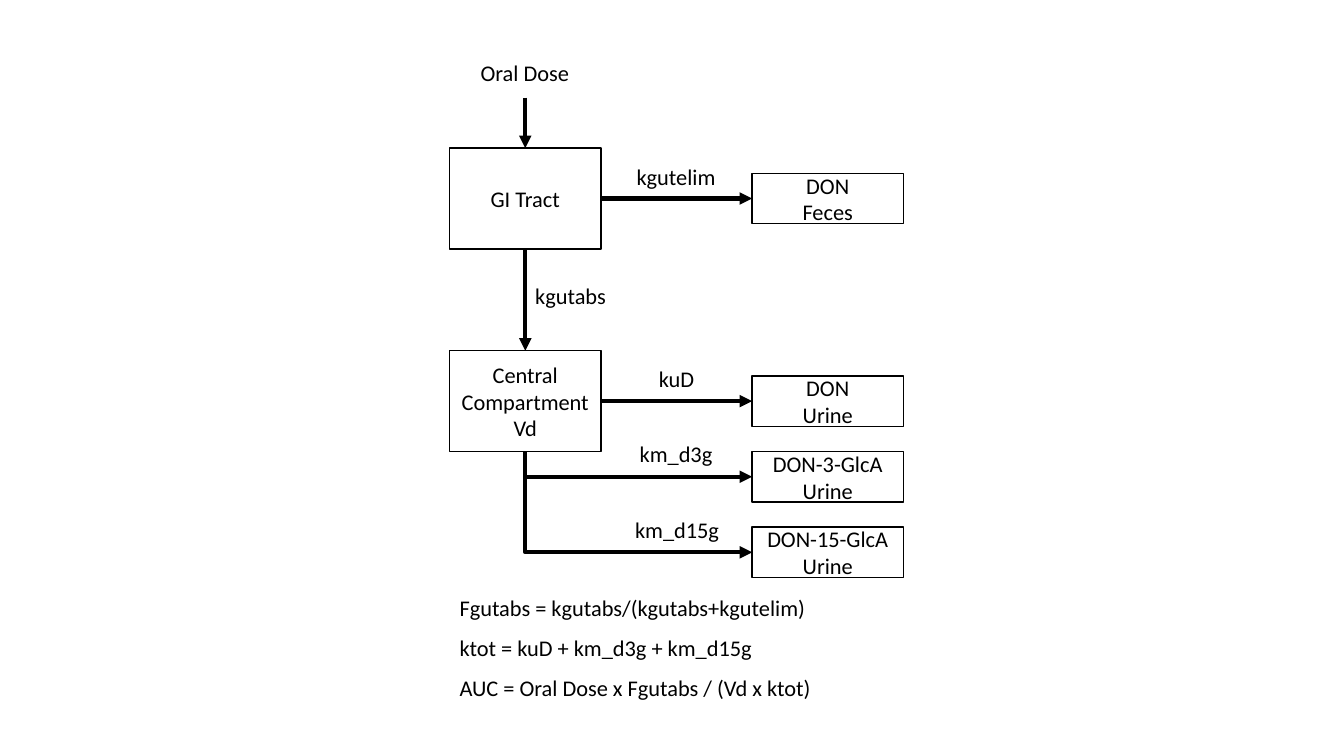
from dataclasses import dataclass

from lxml.etree import SubElement
from pptx import Presentation
from pptx.dml.color import RGBColor
from pptx.enum.shapes import MSO_CONNECTOR, MSO_SHAPE
from pptx.enum.text import MSO_ANCHOR, MSO_AUTO_SIZE, PP_ALIGN
from pptx.oxml.ns import qn
from pptx.util import Inches, Pt


@dataclass(frozen=True)
class Theme:
    ink: RGBColor = RGBColor(0x00, 0x00, 0x00)
    paper: RGBColor = RGBColor(0xFF, 0xFF, 0xFF)
    font: str = "Calibri"
    text_size: Pt = Pt(16)
    box_line: Pt = Pt(1)
    arrow_line: Pt = Pt(3)


THEME = Theme()
TOP, LEFT, BOTTOM, RIGHT = range(4)  # connection sites of a rectangle


def write(shape, text, align, spacing=None):
    """Fill the shape with one paragraph per line of text."""
    shape.text_frame.text = text
    for paragraph in shape.text_frame.paragraphs:
        paragraph.alignment = align
        paragraph.line_spacing = spacing
        paragraph.font.name = THEME.font
        paragraph.font.size = THEME.text_size
        paragraph.font.color.rgb = THEME.ink


def style_arrow(arrow):
    arrow.line.color.rgb = THEME.ink
    arrow.line.width = THEME.arrow_line
    SubElement(arrow.line._get_or_add_ln(), qn("a:tailEnd"), type="triangle")
    SubElement(arrow._element.spPr, qn("a:effectLst"))


presentation = Presentation()
presentation.slide_width = Inches(13.33)
presentation.slide_height = Inches(7.5)
slide = presentation.slides.add_slide(presentation.slide_layouts[6])
shapes = slide.shapes

# Compartments on the left, excretion routes on the right
BOX_WIDTH, COMPARTMENT_HEIGHT, ROUTE_HEIGHT = 1.5, 1, 0.5
COMPARTMENT_LEFT, ROUTE_LEFT = 4.46, 7.46
boxes = {}
for name, text, left, top, height in [
    ("gut", "GI Tract", COMPARTMENT_LEFT, 1.47, COMPARTMENT_HEIGHT),
    ("central", "Central Compartment\nVd", COMPARTMENT_LEFT, 3.48, COMPARTMENT_HEIGHT),
    ("feces", "DON\nFeces", ROUTE_LEFT, 1.72, ROUTE_HEIGHT),
    ("urine", "DON\nUrine", ROUTE_LEFT, 3.73, ROUTE_HEIGHT),
    ("urine_d3g", "DON-3-GlcA Urine", ROUTE_LEFT, 4.48, ROUTE_HEIGHT),
    ("urine_d15g", "DON-15-GlcA Urine", ROUTE_LEFT, 5.23, ROUTE_HEIGHT),
]:
    box = shapes.add_shape(MSO_SHAPE.RECTANGLE, Inches(left), Inches(top),
                           Inches(BOX_WIDTH), Inches(height))
    box.shadow.inherit = False
    box.fill.solid()
    box.fill.fore_color.rgb = THEME.paper
    box.line.color.rgb = THEME.ink
    box.line.width = THEME.box_line
    box.text_frame.vertical_anchor = MSO_ANCHOR.MIDDLE
    write(box, text, PP_ALIGN.CENTER)
    boxes[name] = box

# Flows between the boxes
for source, source_site, target, target_site in [
    ("gut", BOTTOM, "central", TOP),
    ("gut", RIGHT, "feces", LEFT),
    ("central", RIGHT, "urine", LEFT),
]:
    flow = shapes.add_connector(MSO_CONNECTOR.STRAIGHT, 0, 0, 0, 0)
    flow.begin_connect(boxes[source], source_site)
    flow.end_connect(boxes[target], target_site)
    style_arrow(flow)

# Metabolite flows go down and then right: a one-bend elbow, turned and flipped
for target in ("urine_d3g", "urine_d15g"):
    elbow = shapes.add_connector(MSO_CONNECTOR.ELBOW, 0, 0, 0, 0)
    elbow.begin_connect(boxes["central"], BOTTOM)
    elbow.end_connect(boxes[target], LEFT)
    across, down = elbow.width, elbow.height
    elbow.left += (across - down) // 2
    elbow.top += (down - across) // 2
    elbow.width, elbow.height = down, across
    elbow._element.spPr.find(qn("a:prstGeom")).set("prst", "bentConnector2")
    turn = elbow._element.spPr.find(qn("a:xfrm"))
    turn.set("rot", str(270 * 60000))
    turn.set("flipH", "1")
    style_arrow(elbow)

dose_x = COMPARTMENT_LEFT + BOX_WIDTH / 2
dose_flow = shapes.add_connector(MSO_CONNECTOR.STRAIGHT, Inches(dose_x), Inches(0.97),
                                 Inches(dose_x), Inches(1.47))
dose_flow.end_connect(boxes["gut"], TOP)
style_arrow(dose_flow)

# Dose, rate constants and equations
EQUATIONS = """Fgutabs = kgutabs/(kgutabs+kgutelim)
ktot = kuD + km_d3g + km_d15g
AUC = Oral Dose x Fgutabs / (Vd x ktot)"""
LABEL_HEIGHT = 0.37
for text, left, top, width, height, align, spacing in [
    ("Oral Dose", 4.66, 0.54, 1.09, LABEL_HEIGHT, PP_ALIGN.CENTER, None),
    ("kgutabs", dose_x, 2.75, 0.91, LABEL_HEIGHT, PP_ALIGN.LEFT, None),
    ("kgutelim", 6.21, 1.57, 0.99, LABEL_HEIGHT, PP_ALIGN.CENTER, None),
    ("kuD", 6.43, 3.57, 0.56, LABEL_HEIGHT, PP_ALIGN.CENTER, None),
    ("km_d3g", 6.24, 4.32, 0.93, LABEL_HEIGHT, PP_ALIGN.CENTER, None),
    ("km_d15g", 6.19, 5.07, 1.05, LABEL_HEIGHT, PP_ALIGN.CENTER, None),
    (EQUATIONS, COMPARTMENT_LEFT, 5.71, 3.73, 1.27, PP_ALIGN.LEFT, 1.5),
]:
    label = shapes.add_textbox(Inches(left), Inches(top), Inches(width), Inches(height))
    label.text_frame.word_wrap = False
    label.text_frame.auto_size = MSO_AUTO_SIZE.SHAPE_TO_FIT_TEXT
    write(label, text, align, spacing)

presentation.save("out.pptx")
